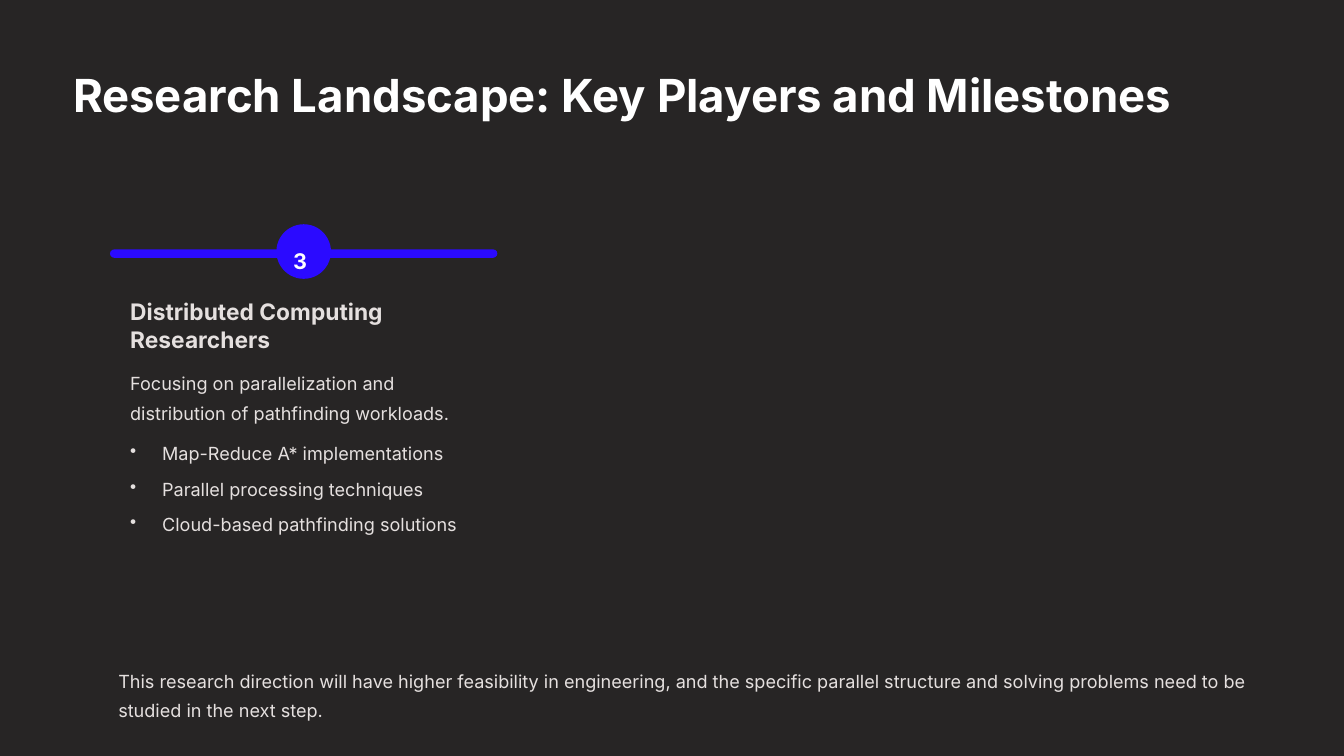
from pptx import Presentation
from pptx.dml.color import RGBColor
from pptx.enum.shapes import MSO_SHAPE
from pptx.enum.text import MSO_ANCHOR, MSO_AUTO_SIZE, PP_ALIGN
from pptx.util import Pt
from lxml.etree import SubElement
from pptx.oxml.ns import qn

COLORS = {"back": "272525", "accent": "2B0AFF", "white": "FFFFFF", "body": "E5E0DF"}
FONT = "Inter"
TEXT_LEFT, TEXT_WIDTH = 111.6, 297.4
BULLET_INDENT = 27.4


def color(name):
    return RGBColor.from_string(COLORS[name])


def place(sp, left, top, width, height):
    sp.left, sp.top, sp.width, sp.height = Pt(left), Pt(top), Pt(width), Pt(height)


def write(tf, lines, size, leading, ink="body", bold=False, wrap=True,
          inset=(0, 0), gap=0, bullet=False):
    tf.auto_size = MSO_AUTO_SIZE.NONE
    tf.word_wrap = wrap
    tf.vertical_anchor = MSO_ANCHOR.TOP
    tf.margin_left = tf.margin_right = Pt(inset[0])
    tf.margin_top = tf.margin_bottom = Pt(inset[1])
    tf.text = "\n".join(lines)
    for i, p in enumerate(tf.paragraphs):
        p.alignment = PP_ALIGN.LEFT
        p.line_spacing = Pt(leading)
        p.space_before = Pt(gap if i else 0)
        if bullet:
            pPr = p._p.get_or_add_pPr()
            pPr.set("marL", str(Pt(BULLET_INDENT)))
            pPr.set("indent", str(-Pt(BULLET_INDENT)))
            SubElement(pPr, qn("a:buChar")).set("char", "•")
        for r in p.runs:
            r.font.name = FONT
            r.font.size = Pt(size)
            r.font.bold = bold
            r.font.color.rgb = color(ink)


def add_text(s, box, lines, size, leading, **style):
    sp = s.shapes.add_textbox(*map(Pt, box))
    write(sp.text_frame, lines, size, leading, **style)


def add_block(s, kind, box):
    sp = s.shapes.add_shape(kind, *map(Pt, box))
    sp.shadow.inherit = False
    sp.fill.solid()
    sp.fill.fore_color.rgb = color("accent")
    sp.line.fill.background()
    return sp


def add_title(s, text):
    sp = s.shapes.title
    place(sp, 62.6, 55.4, 944, 49)
    write(sp.text_frame, [text], 39, 48.5, ink="white", bold=True, wrap=False)


def add_milestone(s, number, heading, summary, points):
    bar = add_block(s, MSO_SHAPE.ROUNDED_RECTANGLE, (94.3, 213.8, 332, 7.2))
    bar.adjustments[0] = 0.5
    add_block(s, MSO_SHAPE.OVAL, (236.9, 192.2, 46.8, 46.8))
    add_text(s, (251.3, 204.5, 18.7, 23.8), [number], 18.5, 30,
             ink="white", bold=True, wrap=False)
    add_text(s, (TEXT_LEFT, 254.9, TEXT_WIDTH, 49), [heading], 19.5, 24, bold=True)
    add_text(s, (TEXT_LEFT, 313.2, TEXT_WIDTH, 49.7), [summary], 15.5, 25)
    add_text(s, (TEXT_LEFT, 373, TEXT_WIDTH, 85.7), points, 15.5, 25,
             gap=5.25, bullet=True)


def main():
    prs = Presentation()
    prs.slide_width, prs.slide_height = Pt(1152), Pt(648)
    s = prs.slides.add_slide(prs.slide_layouts[5])
    s.background.fill.solid()
    s.background.fill.fore_color.rgb = color("back")
    add_title(s, "Research Landscape: Key Players and Milestones")
    add_milestone(
        s, "3", "Distributed Computing Researchers",
        "Focusing on parallelization and distribution of pathfinding workloads.",
        ["Map-Reduce A* implementations",
         "Parallel processing techniques",
         "Cloud-based pathfinding solutions"])
    add_text(s, (94.3, 564.5, 985.7, 56.2),
             ["This research direction will have higher feasibility in engineering, "
              "and the specific parallel structure and solving problems need to be "
              "studied in the next step."],
             15.5, 25, inset=(7.2, 3.6))
    prs.save("out.pptx")


if __name__ == "__main__":
    main()
